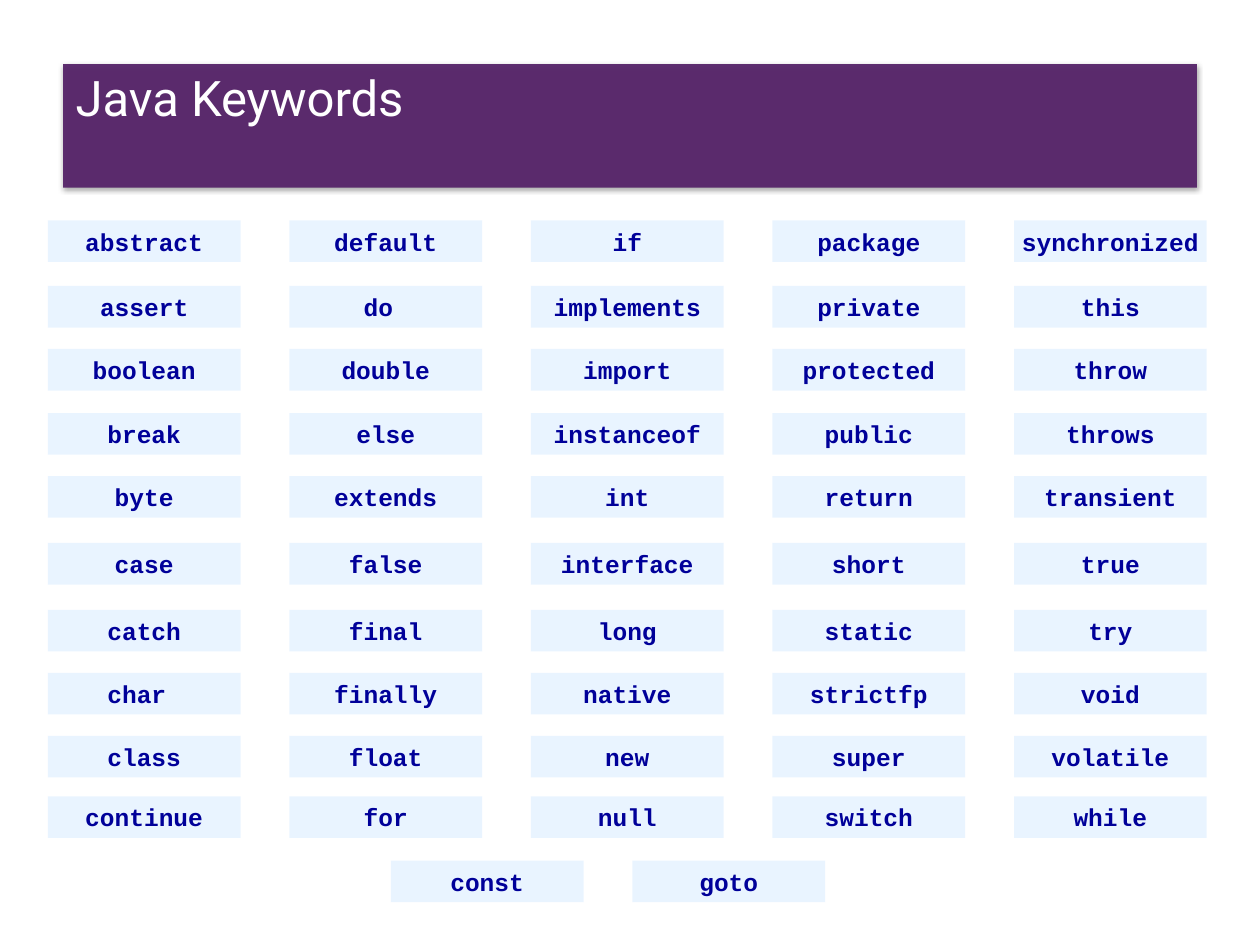
from dataclasses import dataclass

from lxml import etree
from pptx import Presentation
from pptx.dml.color import RGBColor
from pptx.enum.shapes import MSO_SHAPE
from pptx.enum.text import MSO_ANCHOR, MSO_AUTO_SIZE, PP_ALIGN
from pptx.oxml.ns import qn
from pptx.util import Inches, Pt

RECTANGLE = MSO_SHAPE.RECTANGLE
TOP, MIDDLE = MSO_ANCHOR.TOP, MSO_ANCHOR.MIDDLE
LEFT, CENTER = PP_ALIGN.LEFT, PP_ALIGN.CENTER
NO_AUTOFIT = MSO_AUTO_SIZE.NONE
TITLE_ONLY = 5


@dataclass(frozen=True)
class Theme:
    banner: str = "562469"
    banner_text: str = "FFFFFF"
    tile: str = "D5EAFF"
    keyword: str = "000099"
    shadow: str = "000000"
    title_font: str = "Roboto"
    code_font: str = "Courier New"
    title_size: int = 28
    code_size: int = 14


@dataclass(frozen=True)
class Grid:
    left: float = 0.38
    pitch: float = 1.917
    tile_width: float = 1.53
    tile_height: float = 0.33
    tops: tuple = (1.75, 2.27, 2.77, 3.28, 3.78, 4.31, 4.84, 5.34, 5.84, 6.32, 6.83)

    def cell(self, column, row):
        return (self.left + column * self.pitch, self.tops[row],
                self.tile_width, self.tile_height)


THEME = Theme()
GRID = Grid()
RESERVED_START = 1.42

KEYWORD_COLUMNS = (
    ("abstract", "assert", "boolean", "break", "byte",
     "case", "catch", "char ", "class", "continue"),
    ("default", "do ", "double", "else", "extends",
     "false", "final", "finally", "float", "for"),
    ("if", "implements", "import", "instanceof", "int",
     "interface", "long", "native", "new", "null"),
    ("package", "private", "protected", "public", "return",
     "short", "static", "strictfp", "super", "switch"),
    ("synchronized", "this", "throw", "throws", "transient",
     "true", "try", "void", "volatile", "while"),
)
RESERVED_WORDS = ("const", "goto")


def paint(shape, color, opacity):
    shape.fill.solid()
    shape.fill.fore_color.rgb = RGBColor.from_string(color)
    swatch = shape._element.spPr.find(".//" + qn("a:srgbClr"))
    etree.SubElement(swatch, qn("a:alpha"), val=str(opacity * 1000))
    shape.line.fill.background()
    shape.shadow.inherit = False


def add_soft_shadow(shape):
    effects = shape._element.spPr.find(qn("a:effectLst"))
    shadow = etree.SubElement(effects, qn("a:outerShdw"), blurRad=str(Pt(3)),
                              dist=str(Pt(1)), dir="5400000", rotWithShape="0")
    color = etree.SubElement(shadow, qn("a:srgbClr"), val=THEME.shadow)
    etree.SubElement(color, qn("a:alpha"), val="35000")


def write(shape, text, font, size, color, bold, align, anchor, insets):
    frame = shape.text_frame
    frame.auto_size = NO_AUTOFIT
    frame.word_wrap = True
    frame.vertical_anchor = anchor
    (frame.margin_left, frame.margin_top,
     frame.margin_right, frame.margin_bottom) = map(Inches, insets)
    para = frame.paragraphs[0]
    para.alignment = align
    span = para.add_run()
    span.text = text
    span.font.name = font
    span.font.size = Pt(size)
    span.font.bold = bold
    span.font.color.rgb = RGBColor.from_string(color)
    return para


def add_banner(page, text):
    banner = page.shapes.title
    banner.left, banner.top, banner.width, banner.height = map(
        Inches, (0.5, 0.51, 9, 0.98))
    paint(banner, THEME.banner, 95)
    add_soft_shadow(banner)
    para = write(banner, text, THEME.title_font, THEME.title_size,
                 THEME.banner_text, False, LEFT, TOP, (0.1, 0, 0.1, 0.05))
    para.line_spacing = 1.05


def add_tile(page, word, column, row):
    tile = page.shapes.add_shape(RECTANGLE, *map(Inches, GRID.cell(column, row)))
    paint(tile, THEME.tile, 50)
    write(tile, word, THEME.code_font, THEME.code_size, THEME.keyword,
          True, CENTER, MIDDLE, (0, 0.02, 0, 0.02))


def main():
    deck = Presentation()
    deck.slide_width, deck.slide_height = Inches(10), Inches(7.5)
    page = deck.slides.add_slide(deck.slide_layouts[TITLE_ONLY])
    add_banner(page, "Java Keywords")
    for column, words in enumerate(KEYWORD_COLUMNS):
        for row, word in enumerate(words):
            add_tile(page, word, column, row)
    last_row = len(GRID.tops) - 1
    for offset, word in enumerate(RESERVED_WORDS):
        add_tile(page, word, RESERVED_START + offset, last_row)
    deck.save("out.pptx")


main()
